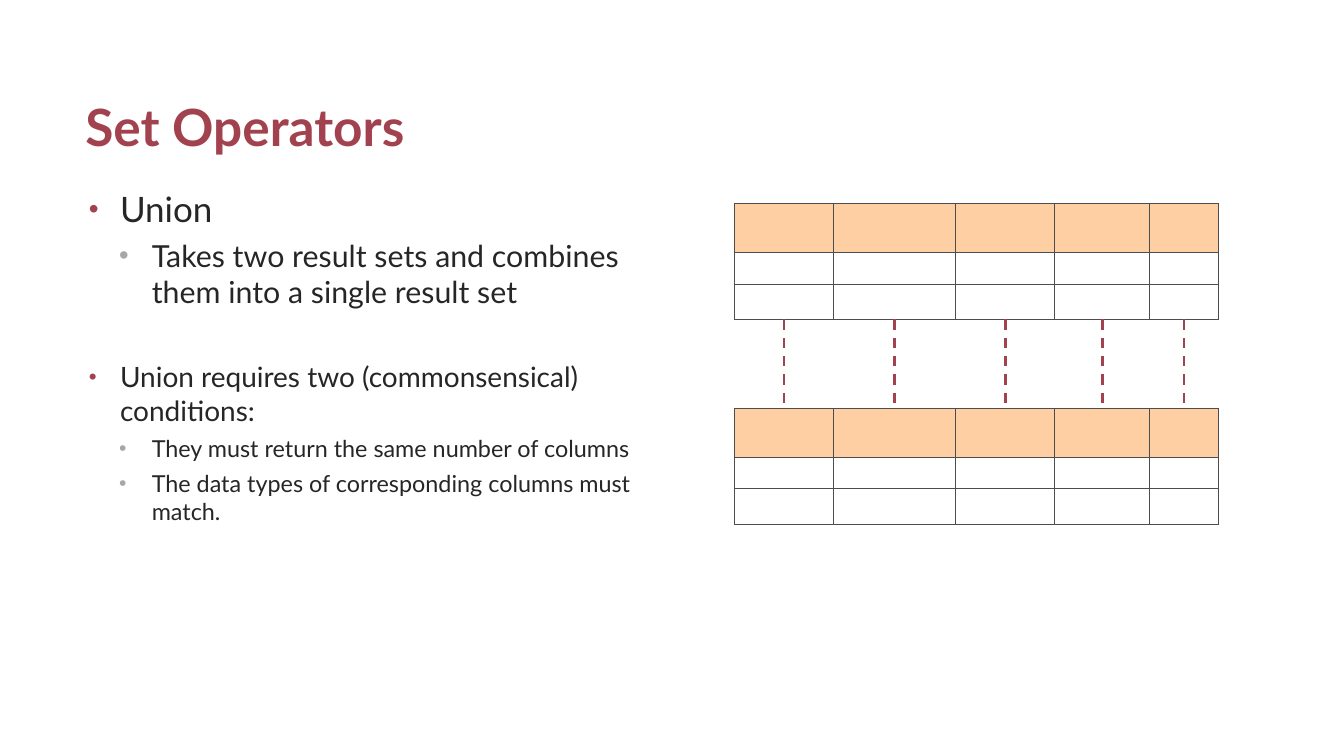
from itertools import accumulate

from lxml import etree
from pptx import Presentation
from pptx import util as u
from pptx.dml.color import RGBColor
from pptx.enum import dml, shapes, text
from pptx.oxml.ns import qn

COLORS = {"accent": "A2424F", "body": "262626", "muted": "A6A6A6",
          "header": "FDCFA2", "row": "FFFFFF", "border": "4D4D4D"}
FONT = "Lato"
TITLE = "Set Operators"
# (level, size, space before, wording)
POINTS = [
    (0, 30, 4, "Union"),
    (1, 26, 4, "Takes two result sets and combines them into a single result set"),
    (0, 24, 41.2, "Union requires two (commonsensical) conditions:"),
    (1, 20, 4, "They must return the same number of columns"),
    (1, 20, 4, "The data types of corresponding columns must match."),
]
# (left margin, hanging indent, bullet color, bullet percent)
LEVELS = [(0.94, 0.94, "accent", 80), (1.9, 0.99, "muted", 90)]
COLUMNS = [2.97, 3.71, 3.0, 2.87, 2.06]
ROWS = [1.5, 0.94, 1.07]
TABLE_LEFT, TABLE_TOPS = 22.22, (6.15, 12.34)
LINK_END = 12.27


def color(name):
    """Return the named color."""
    return RGBColor.from_string(COLORS[name])


def style_run(paragraph, size, color_name, bold=False):
    """Format the runs of a paragraph."""
    for run in paragraph.runs:
        run.font.name, run.font.size, run.font.bold = FONT, u.Pt(size), bold
        run.font.color.rgb = color(color_name)


def add_text_frame(slide, left, top, width, height):
    """Add a wrapping text box and return its frame."""
    frame = slide.shapes.add_textbox(*map(u.Cm, (left, top, width, height))).text_frame
    frame.word_wrap = True
    return frame


def add_bullet(paragraph, level):
    """Give a paragraph the indent and bullet of its level."""
    margin, hanging, color_name, percent = LEVELS[level]
    properties = paragraph._p.get_or_add_pPr()
    properties.set("marL", str(u.Cm(margin)))
    properties.set("indent", str(-u.Cm(hanging)))
    bullet_color = etree.SubElement(properties, qn("a:buClr"))
    etree.SubElement(bullet_color, qn("a:srgbClr"), val=COLORS[color_name])
    etree.SubElement(properties, qn("a:buSzPct"), val=str(percent * 1000))
    etree.SubElement(properties, qn("a:buFont"), typeface="Arial")
    etree.SubElement(properties, qn("a:buChar"), char="•")


def add_title(slide):
    """Add the slide title."""
    frame = add_text_frame(slide, 2.33, 0.91, 36, 3.96)
    frame.vertical_anchor = text.MSO_ANCHOR.BOTTOM
    frame.text = TITLE
    style_run(frame.paragraphs[0], 44, "accent", bold=True)


def add_points(slide):
    """Add the bulleted text."""
    frame = add_text_frame(slide, 2.33, 5.5, 18.42, 14.82)
    frame.margin_left = frame.margin_right = u.Cm(0.36)
    frame.margin_top = frame.margin_bottom = u.Cm(0.18)
    frame.text = "\n".join(wording for *_, wording in POINTS)
    for paragraph, (level, size, before, _) in zip(frame.paragraphs, POINTS):
        paragraph.level = level
        paragraph.space_before, paragraph.space_after = u.Pt(before), u.Pt(2)
        add_bullet(paragraph, level)
        style_run(paragraph, size, "body")


def style_cell(cell, fill_name):
    """Set the borders, margins and fill of a cell."""
    properties = cell._tc.get_or_add_tcPr()
    for side in ("a:lnL", "a:lnR", "a:lnT", "a:lnB"):
        border = etree.SubElement(properties, qn(side), w=str(u.Pt(1)))
        fill = etree.SubElement(border, qn("a:solidFill"))
        etree.SubElement(fill, qn("a:srgbClr"), val=COLORS["border"])
    cell.margin_top = cell.margin_bottom = 0
    cell.fill.solid()
    cell.fill.fore_color.rgb = color(fill_name)


def add_result_set(slide, top):
    """Add one empty result set table."""
    table = slide.shapes.add_table(
        len(ROWS), len(COLUMNS), u.Cm(TABLE_LEFT), u.Cm(top),
        u.Cm(sum(COLUMNS)), u.Cm(sum(ROWS))).table
    table.horz_banding = False
    for column, width in zip(table.columns, COLUMNS):
        column.width = u.Cm(width)
    for index, (row, height) in enumerate(zip(table.rows, ROWS)):
        row.height = u.Cm(height)
        for cell in row.cells:
            style_cell(cell, "row" if index else "header")


def add_column_links(slide):
    """Add a dashed line between the middles of matching columns."""
    start = TABLE_TOPS[0] + sum(ROWS)
    for right, width in zip(accumulate(COLUMNS), COLUMNS):
        middle = u.Cm(TABLE_LEFT + right - width / 2)
        link = slide.shapes.add_connector(
            shapes.MSO_CONNECTOR.STRAIGHT, middle, u.Cm(start), middle, u.Cm(LINK_END))
        link.line.color.rgb = color("accent")
        link.line.width = u.Pt(2.25)
        link.line.dash_style = dml.MSO_LINE.DASH
        etree.SubElement(link._element.spPr, qn("a:effectLst"))


def main():
    """Build and save the slide."""
    presentation = Presentation()
    presentation.slide_width, presentation.slide_height = u.Cm(40.64), u.Cm(22.86)
    slide = presentation.slides.add_slide(presentation.slide_layouts[6])
    add_points(slide)
    add_title(slide)
    for top in TABLE_TOPS:
        add_result_set(slide, top)
    add_column_links(slide)
    presentation.save("out.pptx")


if __name__ == "__main__":
    main()
